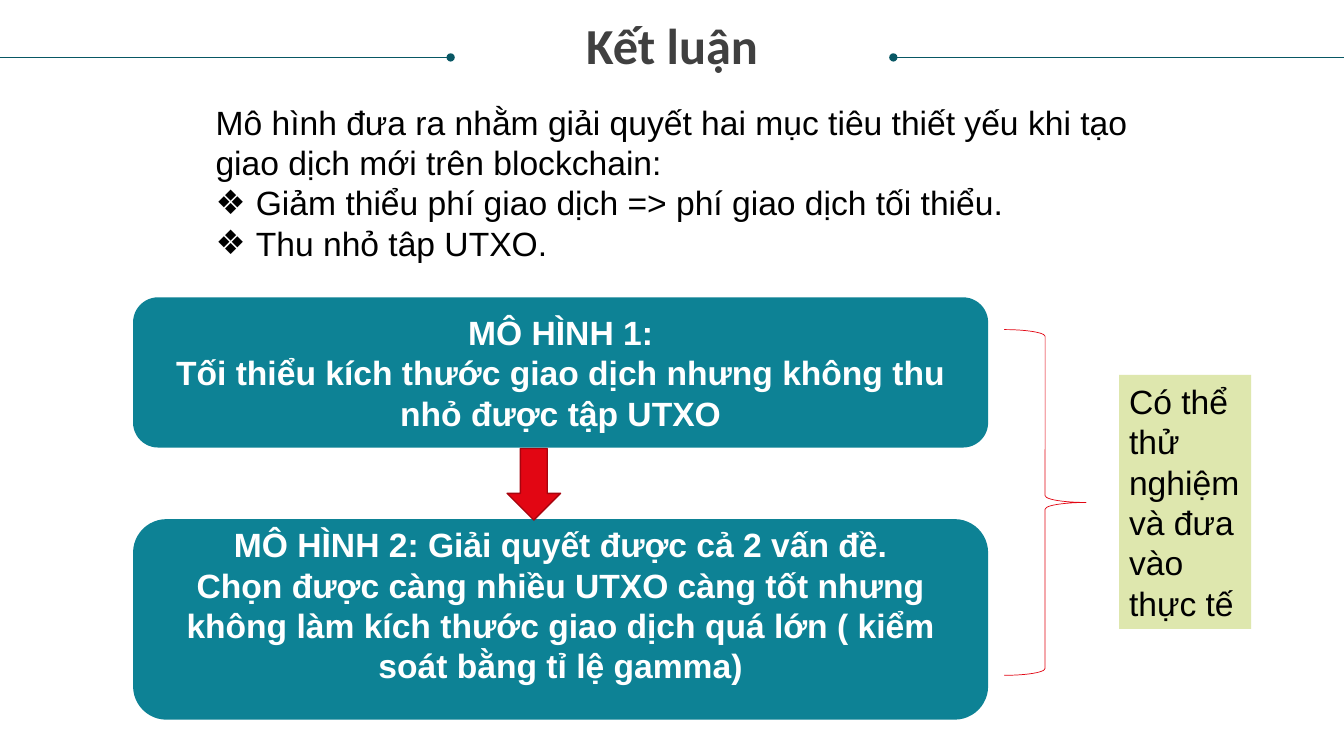
from dataclasses import dataclass

from lxml import etree
from pptx import Presentation
from pptx import util as u
from pptx.dml.color import RGBColor
from pptx.enum import shapes, text
from pptx.oxml.ns import qn

KIND = shapes.MSO_SHAPE
LEFT, MID = text.PP_ALIGN.LEFT, text.PP_ALIGN.CENTER
TOP, CORE = text.MSO_ANCHOR.TOP, text.MSO_ANCHOR.MIDDLE
TEAL, DARK, RED = "0D8295", "085764", "E20613"
RULE = 7.6  # height of the title rules, percent of the slide

deck = Presentation()
deck.slide_width, deck.slide_height = u.Inches(13.33), u.Inches(7.5)
slide = deck.slides.add_slide(deck.slide_layouts[6])


@dataclass
class Area:
    """Left, top, width and height in percent of the slide."""
    x: float
    y: float
    w: float
    h: float

    def emu(self) -> tuple:
        return across(self.x), down(self.y), across(self.w), down(self.h)


@dataclass
class Font:
    color: str = "000000"
    bold: bool = False
    size: float = 24
    name: str = "Arial"


@dataclass
class Box:
    area: Area
    kind: int
    fill: str = ""
    line: str = ""
    width: float = 0.5
    lines: tuple = ()
    font: Font = None
    align: int = MID
    foot: float = 0.05


def across(share: float) -> int:
    return round(deck.slide_width * share / 100)


def down(share: float) -> int:
    return round(deck.slide_height * share / 100)


def hue(code: str) -> RGBColor:
    return RGBColor.from_string(code)


def write(frame, lines: tuple, font: Font, align: int, anchor: int) -> None:
    frame.word_wrap = True
    frame.vertical_anchor = anchor
    for i, line in enumerate(lines):
        para = frame.paragraphs[0] if i == 0 else frame.add_paragraph()
        para.alignment = align
        run = para.add_run()
        run.text = line
        run.font.name, run.font.size = font.name, u.Pt(font.size)
        run.font.bold = font.bold
        run.font.color.rgb = hue(font.color)


def mark(para) -> None:
    """Give a paragraph a diamond bullet with a hanging indent."""
    props = para._p.get_or_add_pPr()
    props.set("marL", str(u.Inches(0.4)))
    props.set("indent", str(-u.Inches(0.4)))
    etree.SubElement(props, qn("a:buFont")).set("typeface", "Arial")
    etree.SubElement(props, qn("a:buChar")).set("char", "❖")


def label(area: Area, lines: tuple, font: Font, align: int):
    frame = slide.shapes.add_textbox(*area.emu()).text_frame
    write(frame, lines, font, align, TOP)
    return frame


def draw(box: Box) -> None:
    shape = slide.shapes.add_shape(box.kind, *box.area.emu())
    shape.shadow.inherit = False
    if box.fill:
        shape.fill.solid()
        shape.fill.fore_color.rgb = hue(box.fill)
    else:
        shape.fill.background()
    if box.line:
        shape.line.color.rgb = hue(box.line)
        shape.line.width = u.Pt(box.width)
    else:
        shape.line.fill.background()
    if box.lines:
        shape.text_frame.margin_bottom = u.Inches(box.foot)
        write(shape.text_frame, box.lines, box.font, box.align, CORE)


def rule(edge: float, dot: float) -> None:
    """Draw a title rule from the slide edge to a round dot."""
    y = down(RULE)
    line = slide.shapes.add_connector(
        shapes.MSO_CONNECTOR.STRAIGHT, across(edge), y, across(dot), y)
    line.line.color.rgb = hue(DARK)
    line.line.width = u.Pt(0.5)
    etree.SubElement(line.line._get_or_add_ln(), qn("a:tailEnd")).set("type", "oval")
    etree.SubElement(line._element.spPr, qn("a:effectLst"))


WHITE = Font("FFFFFF", bold=True)
BOXES = [
    Box(Area(9.9, 39.33, 63.62, 19.87), KIND.ROUNDED_RECTANGLE, TEAL, font=WHITE,
        lines=("MÔ HÌNH 1:",
               "Tối thiểu kích thước giao dịch nhưng không thu nhỏ được tập UTXO")),
    Box(Area(9.9, 68.67, 63.62, 26.53), KIND.ROUNDED_RECTANGLE, TEAL, font=WHITE,
        lines=("MÔ HÌNH 2: Giải quyết được cả 2 vấn đề.",
               "Chọn được càng nhiều UTXO càng tốt nhưng không làm kích thước "
               "giao dịch quá lớn ( kiểm soát bằng tỉ lệ gamma)"), foot=0.34),
    Box(Area(37.73, 59.33, 3.98, 9.47), KIND.DOWN_ARROW, RED, "A7040E", 1),
    Box(Area(74.72, 43.6, 6.08, 45.73), KIND.RIGHT_BRACE, line=RED),
    Box(Area(83.27, 49.6, 9.83, 33.6), KIND.RECTANGLE, "DEE7AE", font=Font(),
        lines=("Có thể thử nghiệm và đưa vào thực tế",), align=LEFT),
]

rule(100, 66.47)
rule(0, 33.53)
title = label(Area(1.88, 2.8, 96.25, 11.33), ("Kết luận",),
              Font("404040", True, 36, "Calibri"), MID)
title.margin_left = title.margin_right = title.margin_top = title.margin_bottom = 0
title.paragraphs[0].line_spacing = 0.9

intro = label(Area(15.3, 12.8, 71.79, 26.93), (
    "Mô hình đưa ra nhằm giải quyết hai mục tiêu thiết yếu khi tạo "
    "giao dịch mới trên blockchain:",
    "Giảm thiểu phí giao dịch => phí giao dịch tối thiểu.",
    "Thu nhỏ tâp UTXO."), Font(), LEFT)
for para in intro.paragraphs[1:]:
    mark(para)

for box in BOXES:
    draw(box)

deck.save("out.pptx")
